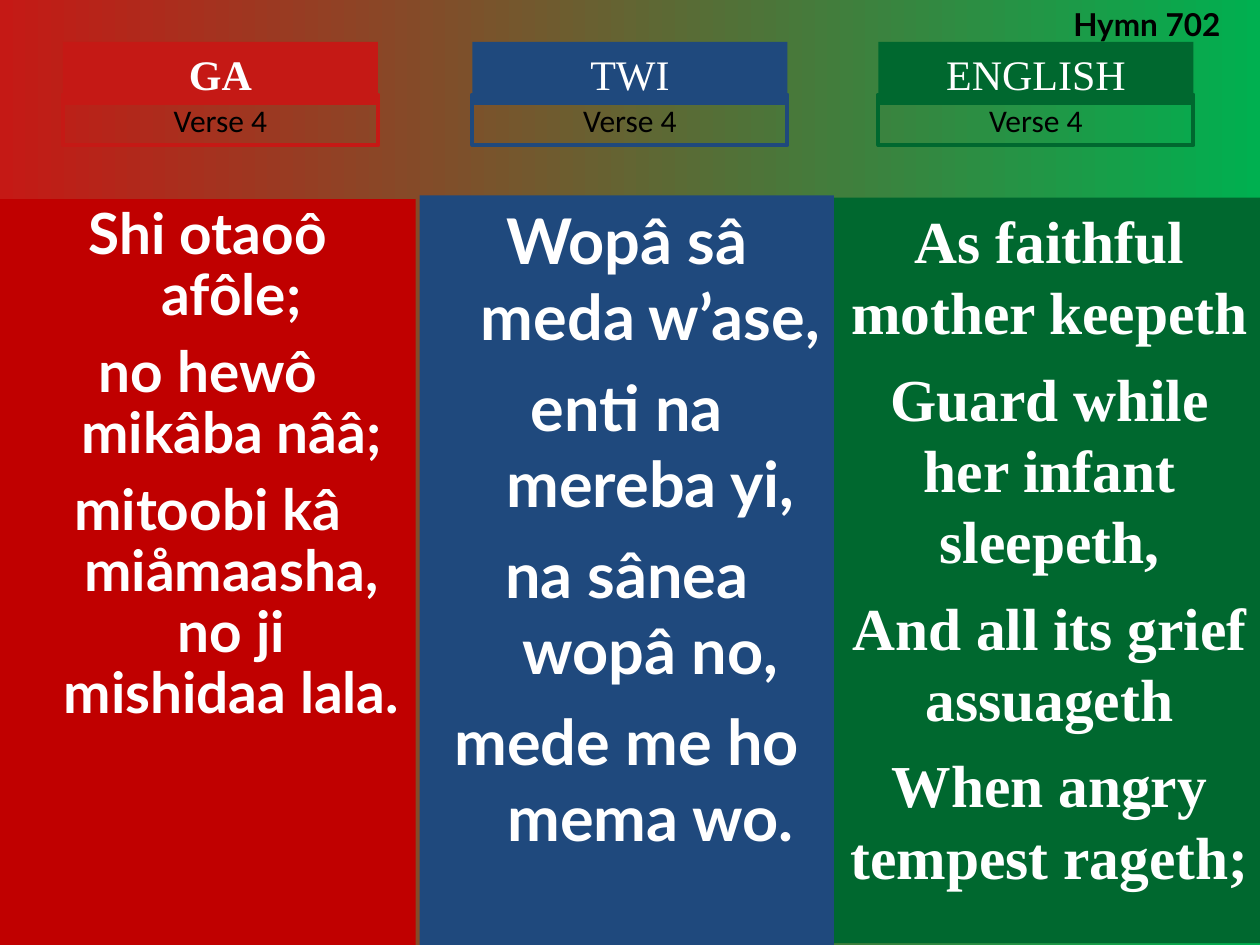
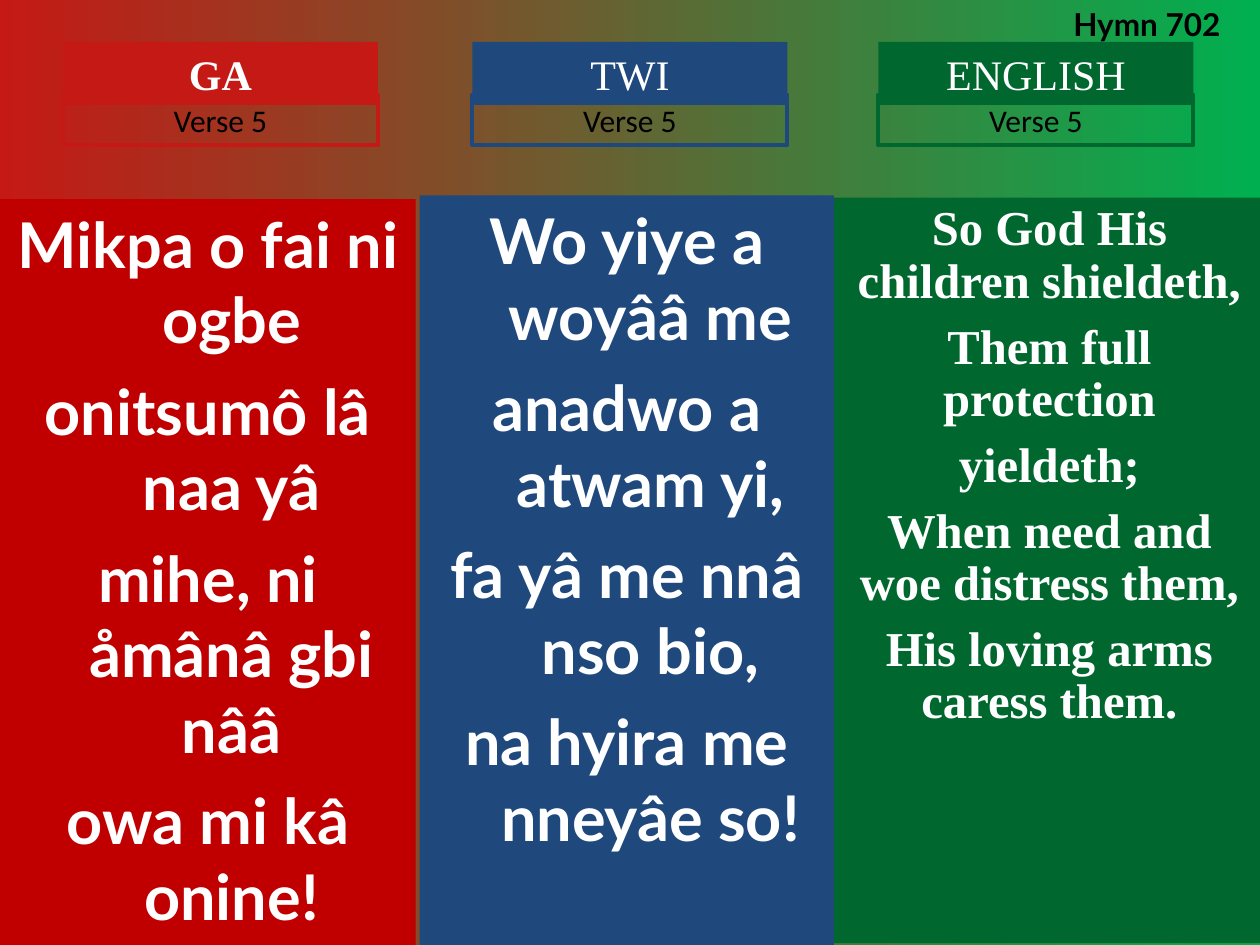
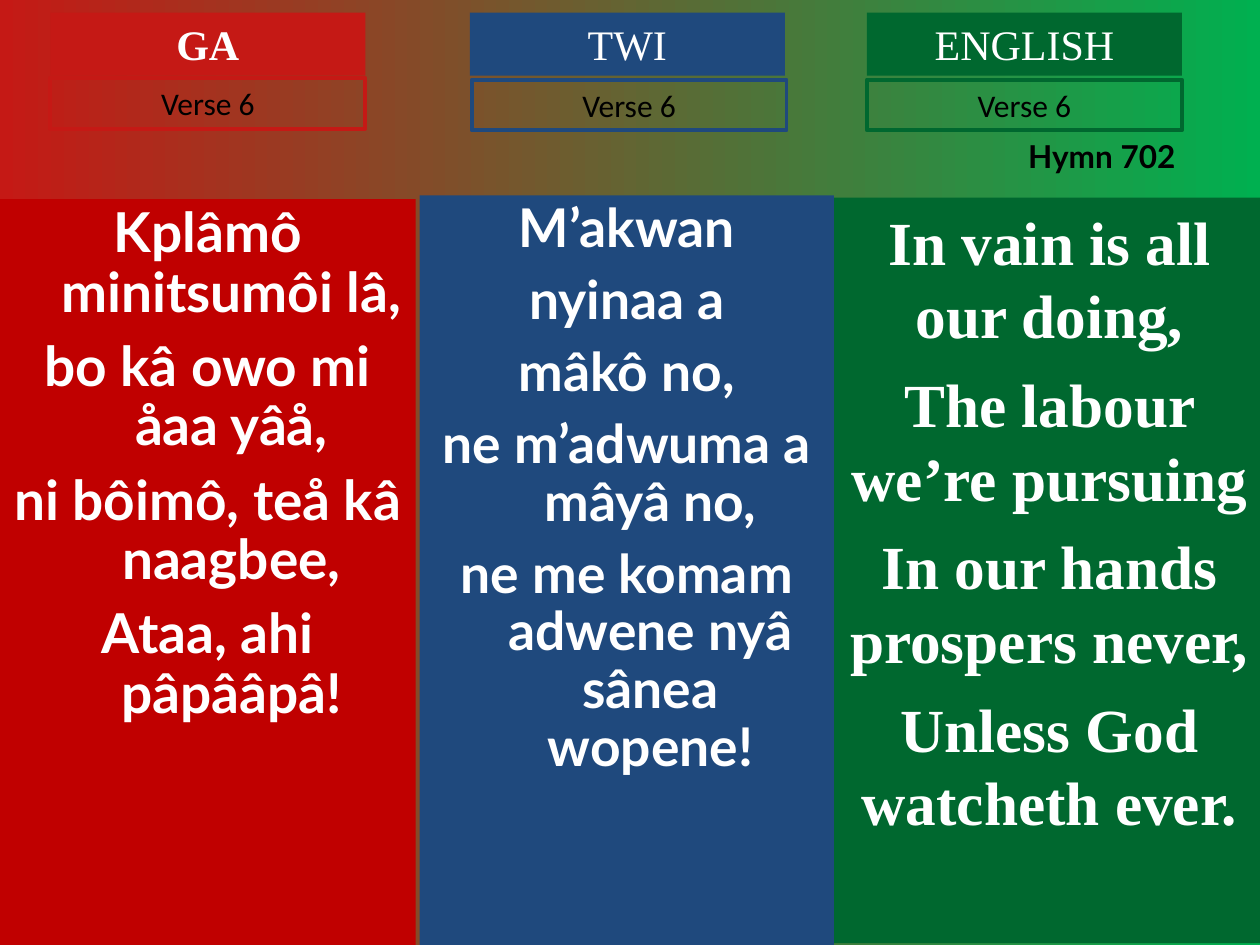
from dataclasses import dataclass

from pptx import Presentation
from pptx.dml.color import RGBColor
from pptx.enum.shapes import MSO_SHAPE as SHAPE
from pptx.enum.text import MSO_ANCHOR as ANCHOR, PP_ALIGN as ALIGN
from pptx.util import Pt

RED = RGBColor(0xC5, 0x19, 0x15)
DARK_RED = RGBColor(0xC0, 0x00, 0x00)
BLUE = RGBColor(0x1F, 0x49, 0x7D)
GREEN = RGBColor(0x00, 0x68, 0x2F)
LIGHT_GREEN = RGBColor(0x00, 0xB0, 0x50)
WHITE = RGBColor(0xFF, 0xFF, 0xFF)
BLACK = RGBColor(0x00, 0x00, 0x00)
SERIF, SANS, LABEL = "Times New Roman", "Lato", "Calibri"
HEAD_W, HEAD_H, VERSE_H = 180, 36, 29


@dataclass
class Column:
    language: str
    box: tuple
    fill: RGBColor
    accent: RGBColor
    font: str
    hang: float = 0
    bold_head: bool = False


@dataclass
class Stanza:
    lines: list
    size: float
    before: float
    spacing: float = 1.0


@dataclass
class Hymn:
    verse: int
    stanzas: list
    head_x: tuple = (36, 270, 502)
    head_y: float = 24
    verse_x: tuple = (36, 270, 502)
    verse_y: tuple = (54, 54, 54)
    number_at: tuple = (606.25, -0.75)


def write(tf, lines, font=SANS, size=18, color=BLACK, bold=False,
          align=ALIGN.CENTER, hang=0, before=0, spacing=1.0):
    tf.word_wrap = True
    tf.vertical_anchor = ANCHOR.TOP
    tf.margin_left = tf.margin_right = Pt(7.2)
    tf.margin_top = tf.margin_bottom = Pt(3.6)
    for i, line in enumerate(lines):
        p = tf.add_paragraph() if i else tf.paragraphs[0]
        p.alignment = align
        if i and before:
            p.space_before = Pt(before)
        if spacing != 1:
            p.line_spacing = spacing
        if hang:
            pPr = p._p.get_or_add_pPr()
            pPr.set("marL", str(Pt(hang)))
            pPr.set("indent", str(-Pt(hang)))
        r = p.add_run()
        r.text = line
        r.font.name, r.font.size, r.font.bold = font, Pt(size), bold
        r.font.color.rgb = color


class Deck:
    def __init__(self):
        self.prs = Presentation()
        self.prs.slide_width, self.prs.slide_height = Pt(720), Pt(540)
        self.s = None

    def slide(self):
        self.s = self.prs.slides.add_slide(self.prs.slide_layouts[6])
        fill = self.s.background.fill
        fill.gradient()
        fill.gradient_angle = 0
        for stop, color, position in zip(fill.gradient_stops, (RED, LIGHT_GREEN), (0, 1)):
            stop.color.rgb = color
            stop.position = position

    def rect(self, box, lines, fill=None, line=None, **style):
        sp = self.s.shapes.add_shape(SHAPE.RECTANGLE, *map(Pt, box))
        sp.shadow.inherit = False
        if fill is None:
            sp.fill.background()
        else:
            sp.fill.solid()
            sp.fill.fore_color.rgb = fill
        if line is None:
            sp.line.fill.background()
        else:
            sp.line.color.rgb = line
            sp.line.width = Pt(2.25)
        write(sp.text_frame, lines, **style)

    def panel(self, col, stanza):
        self.rect(col.box, stanza.lines, fill=col.fill, font=col.font,
                  size=stanza.size, color=WHITE, bold=True, hang=col.hang,
                  before=stanza.before, spacing=stanza.spacing)

    def heading(self, col, x, y):
        self.rect((x, y, HEAD_W, HEAD_H), [col.language], fill=col.accent,
                  font=SERIF, size=24, color=WHITE, bold=col.bold_head)

    def verse(self, col, x, y, number):
        self.rect((x, y, HEAD_W, VERSE_H), [f"Verse {number}"],
                  line=col.accent, font=LABEL)

    def hymn_number(self, x, y):
        sp = self.s.shapes.add_textbox(Pt(x), Pt(y), Pt(108), Pt(29))
        write(sp.text_frame, ["Hymn 702"], bold=True, align=ALIGN.LEFT)


COLUMNS = [
    Column("GA", (0, 113.75, 237.6, 426.25), DARK_RED, RED, SANS, 27, True),
    Column("TWI", (239.8, 111.6, 236.8, 428.4), BLUE, BLUE, SANS, 27),
    Column("ENGLISH", (476.6, 113, 246.25, 426), GREEN, GREEN, SERIF),
]

HYMNS = [
    Hymn(4, [
        Stanza(["Shi otaoô afôle;", "no hewô mikâba nââ;",
                "mitoobi kâ miåmaasha, no ji mishidaa lala."], 32.4, 8.8, 0.9),
        Stanza(["Wopâ sâ meda w’ase,", "enti na mereba yi,",
                "na sânea wopâ no,", "mede me ho mema wo."], 36, 9),
        Stanza(["As faithful mother keepeth", "Guard while her infant sleepeth,",
                "And all its grief assuageth", "When angry tempest rageth;"], 34, 8.5),
    ]),
    Hymn(5, [
        Stanza(["Mikpa o fai ni ogbe", "onitsumô lâ naa yâ",
                "mihe, ni åmânâ gbi nââ", "owa mi kâ onine!"], 36, 9),
        Stanza(["Wo yiye a woyââ me", "anadwo a atwam yi,",
                "fa yâ me nnâ nso bio,", "na hyira me nneyâe so!"], 36, 9),
        Stanza(["So God His children shieldeth,", "Them full protection", "yieldeth;",
                "When need and woe distress them,",
                "His loving arms caress them."], 27.8, 7.5, 0.9),
    ]),
    Hymn(6, [
        Stanza(["Kplâmô minitsumôi lâ,", "bo kâ owo mi åaa yâå,",
                "ni bôimô, teå kâ naagbee,", "Ataa, ahi pâpââpâ!"], 31.4, 8.5, 0.9),
        Stanza(["M’akwan", "nyinaa a", "mâkô no,", "ne m’adwuma a mâyâ no,",
                "ne me komam adwene nyâ sânea wopene!"], 30.5, 8.2, 0.9),
        Stanza(["In vain is all our doing,", "The labour we’re pursuing",
                "In our hands prospers never,", "Unless God watcheth ever."], 35, 8.8),
    ], head_x=(28.8, 268.5, 495.4), head_y=7.2, verse_x=(28.8, 269.5, 495.4),
        verse_y=(44.5, 45.5, 45.5), number_at=(580.5, 75)),
]


def main():
    deck = Deck()
    for hymn in HYMNS:
        deck.slide()
        for i, (col, stanza) in enumerate(zip(COLUMNS, hymn.stanzas)):
            deck.panel(col, stanza)
            deck.heading(col, hymn.head_x[i], hymn.head_y)
            deck.verse(col, hymn.verse_x[i], hymn.verse_y[i], hymn.verse)
        deck.hymn_number(*hymn.number_at)
    deck.prs.save("out.pptx")


if __name__ == "__main__":
    main()
